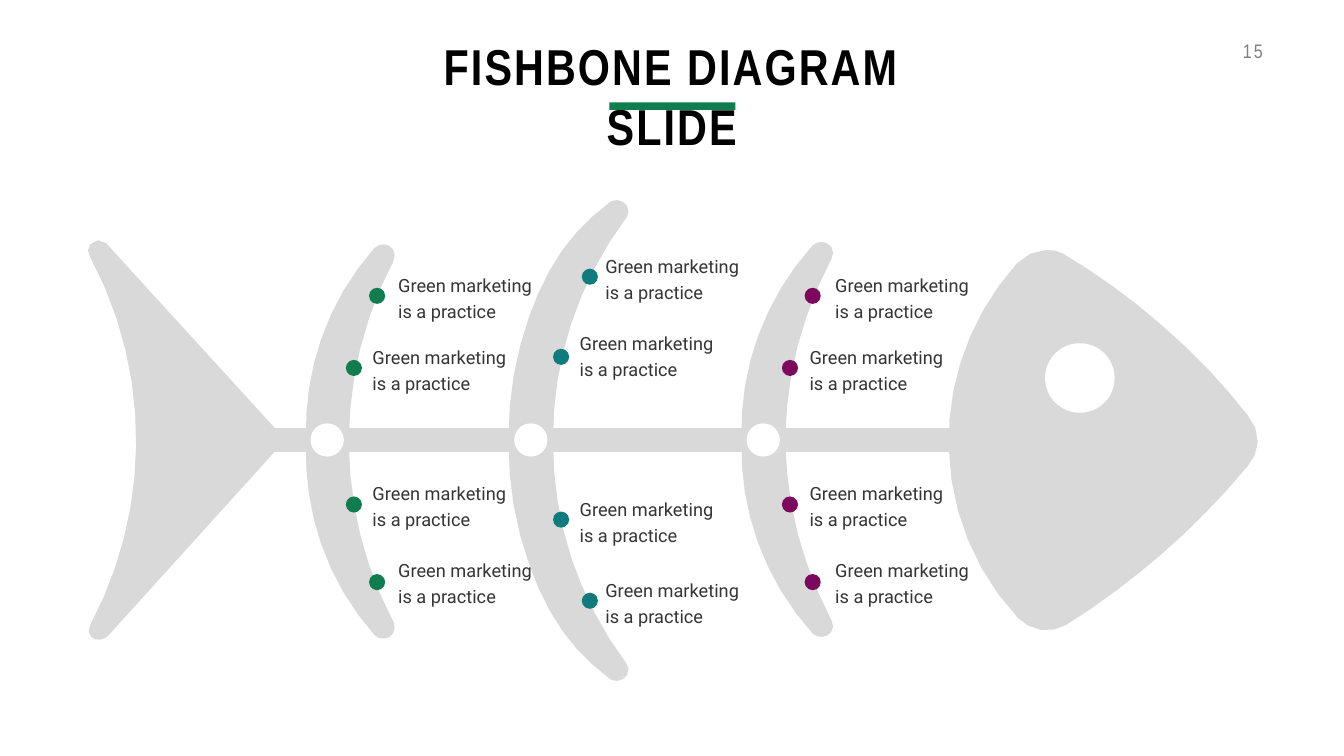
import math

import lxml.etree
import pptx
import pptx.dml.color
import pptx.enum.shapes
import pptx.enum.text
import pptx.oxml.ns
import pptx.util

Inches = pptx.util.Inches
RGBColor = pptx.dml.color.RGBColor
MSO_SHAPE = pptx.enum.shapes.MSO_SHAPE
PP_ALIGN = pptx.enum.text.PP_ALIGN
MSO_ANCHOR = pptx.enum.text.MSO_ANCHOR

BONE = RGBColor(0xD9, 0xD9, 0xD9)
WHITE = RGBColor(0xFF, 0xFF, 0xFF)
BLACK = RGBColor(0x00, 0x00, 0x00)
GRAY = RGBColor(0x80, 0x80, 0x80)
DARK = RGBColor(0x35, 0x35, 0x35)
GREEN = RGBColor(0x0F, 0x7D, 0x4F)
TEAL = RGBColor(0x10, 0x7B, 0x7D)
PURPLE = RGBColor(0x7D, 0x09, 0x5E)

deck = pptx.Presentation()
deck.slide_width = Inches(26.66)
deck.slide_height = Inches(15)
page = deck.slides.add_slide(deck.slide_layouts[5])


def write_text(box, text, size, color, font="Roboto", bold=False, align=PP_ALIGN.LEFT,
               anchor=MSO_ANCHOR.TOP, tracking=0, line_spacing=None):
    frame = box.text_frame
    frame.word_wrap = True
    frame.auto_size = pptx.enum.text.MSO_AUTO_SIZE.NONE
    frame.vertical_anchor = anchor
    para = frame.paragraphs[0]
    para.alignment = align
    if line_spacing:
        para.line_spacing = pptx.util.Pt(line_spacing)
    span = para.add_run()
    span.text = text
    span.font.name = font
    span.font.size = pptx.util.Pt(size)
    span.font.bold = bold
    span.font.color.rgb = color
    if tracking:
        span._r.get_or_add_rPr().set("spc", str(tracking * 100))


def add_filled(color, preset=None, bounds=None, contours=()):
    if preset is not None:
        shape = page.shapes.add_shape(preset, *[Inches(length) for length in bounds])
    else:
        builder = None
        for start, *segments in contours:
            x, y = start
            if builder is None:
                builder = page.shapes.build_freeform(Inches(x), Inches(y), scale=1.0)
            else:
                builder.move_to(Inches(x), Inches(y))
            points = []
            for segment in segments:
                if len(segment) == 2:
                    x, y = segment
                    points.append((Inches(x), Inches(y)))
                    continue
                x1, y1, x2, y2, x3, y3 = segment
                steps = max(2, math.ceil(math.hypot(x3 - x, y3 - y) / 0.65))
                for step in range(1, steps + 1):
                    t = step / steps
                    u = 1 - t
                    weights = (u ** 3, 3 * u * u * t, 3 * u * t * t, t ** 3)
                    points.append((
                        Inches(sum(w * v for w, v in zip(weights, (x, x1, x2, x3)))),
                        Inches(sum(w * v for w, v in zip(weights, (y, y1, y2, y3))))))
                x, y = x3, y3
            builder.add_line_segments(points, close=True)
        shape = builder.convert_to_shape()
    shape.shadow.inherit = False
    shape.fill.solid()
    shape.fill.fore_color.rgb = color
    shape.line.fill.background()


head = [
    (20.75, 4.96), (20.54, 4.96, 20.32, 5.07, 20.17, 5.23),
    (19.27, 6.23, 18.78, 7.54, 18.82, 8.89), (18.85, 10.15, 19.34, 11.35, 20.2, 12.27),
    (20.32, 12.39, 20.48, 12.47, 20.65, 12.5), (20.82, 12.52, 21, 12.49, 21.15, 12.4),
    (21.82, 11.98, 22.46, 11.5, 23.06, 10.98), (23.67, 10.45, 24.23, 9.87, 24.75, 9.25),
    (24.87, 9.12, 24.94, 8.95, 24.95, 8.77), (24.95, 8.57, 24.88, 8.38, 24.75, 8.24),
    (24.24, 7.58, 23.66, 6.98, 23.03, 6.44), (22.43, 5.91, 21.78, 5.45, 21.1, 5.04),
    (21, 4.98, 20.88, 4.95, 20.75, 4.96),
]
tail = [
    (1.79, 5.1), (1.73, 5.02, 1.73, 4.92, 1.79, 4.85), (1.86, 4.75, 2.01, 4.74, 2.1, 4.82),
    (5.44, 8.48), (5.51, 8.55, 5.54, 8.65, 5.53, 8.74), (5.53, 8.81, 5.51, 8.88, 5.47, 8.94),
    (2.15, 12.61), (2.11, 12.65, 2.05, 12.68, 2, 12.69), (1.93, 12.7, 1.86, 12.69, 1.81, 12.64),
    (1.75, 12.57, 1.74, 12.48, 1.79, 12.4), (2.37, 11.31, 2.68, 10.1, 2.7, 8.86),
    (2.72, 7.55, 2.41, 6.26, 1.79, 5.1),
]
add_filled(BONE, contours=[head])
add_filled(WHITE, MSO_SHAPE.OVAL, (20.73, 6.81, 1.38, 1.38))
add_filled(BONE, contours=[tail])

spine = page.shapes.add_connector(pptx.enum.shapes.MSO_CONNECTOR.STRAIGHT,
                                  Inches(4.72), Inches(8.73), Inches(19.11), Inches(8.73))
spine.line.color.rgb = BONE
spine.line.width = pptx.util.Pt(34)
lxml.etree.SubElement(spine._element.spPr, pptx.oxml.ns.qn("a:effectLst"))

ribs = [
    ([(7.62, 4.85), (7.55, 4.84, 7.48, 4.87, 7.43, 4.92), (6.96, 5.45, 6.6, 6.06, 6.37, 6.73),
      (6.15, 7.36, 6.05, 8.04, 6.07, 8.71), (6.92, 8.69), (6.93, 8.09, 7, 7.49, 7.15, 6.9),
      (7.3, 6.3, 7.52, 5.72, 7.81, 5.17), (7.84, 5.09, 7.84, 5.01, 7.79, 4.94),
      (7.75, 4.88, 7.68, 4.85, 7.62, 4.85)], 8.76, 6.16),
    ([(12.25, 3.97), (12.2, 3.97, 12.16, 3.98, 12.11, 4), (11.74, 4.28, 11.41, 4.6, 11.15, 4.97),
      (10.87, 5.37, 10.66, 5.82, 10.5, 6.27), (10.22, 7.06, 10.08, 7.87, 10.09, 8.69),
      (10.97, 8.7), (10.97, 7.93, 11.09, 7.16, 11.33, 6.42),
      (11.58, 5.67, 11.95, 4.95, 12.43, 4.31), (12.48, 4.25, 12.48, 4.16, 12.44, 4.09),
      (12.4, 4.02, 12.33, 3.98, 12.25, 3.97)], 8.74, 10.2),
    ([(16.31, 4.8), (16.24, 4.8, 16.17, 4.82, 16.12, 4.87), (15.64, 5.4, 15.27, 6.02, 15.03, 6.69),
      (14.8, 7.33, 14.69, 8, 14.71, 8.68), (15.58, 8.66), (15.59, 8.06, 15.67, 7.45, 15.82, 6.87),
      (15.98, 6.26, 16.21, 5.68, 16.5, 5.12), (16.54, 5.05, 16.53, 4.97, 16.49, 4.9),
      (16.44, 4.84, 16.38, 4.81, 16.31, 4.8)], 8.72, 14.81),
]
for upper, axis, joint_left in ribs:
    lower = [tuple(2 * axis - value if index % 2 else value for index, value in enumerate(segment))
             for segment in upper]
    add_filled(BONE, contours=[upper, lower])
    add_filled(WHITE, MSO_SHAPE.OVAL, (joint_left, 8.4, 0.66, 0.66))

side_rows = [(5.71, 5.32), (7.14, 6.75), (9.85, 9.46), (11.39, 10.98)]
middle_rows = [(5.33, 4.95), (6.92, 6.48), (10.15, 9.77), (11.76, 11.37)]
causes = [
    (GREEN, 7.32, 6.86, 7.8, side_rows),
    (TEAL, 11.54, 10.97, 11.91, middle_rows),
    (PURPLE, 15.96, 15.51, 16.47, side_rows),
]
for color, outer_dot, inner_dot, outer_label, rows in causes:
    for row, (dot_top, label_top) in enumerate(rows):
        inner = row in (1, 2)
        dot_left = inner_dot if inner else outer_dot
        label_left = outer_label - 0.51 if inner else outer_label
        add_filled(color, MSO_SHAPE.OVAL, (dot_left, dot_top, 0.32, 0.32))
        label = page.shapes.add_textbox(Inches(label_left), Inches(label_top),
                                        Inches(3.14), Inches(1.1))
        write_text(label, "Green marketing is a practice", 26, DARK,
                   anchor=MSO_ANCHOR.MIDDLE, line_spacing=37)

title = page.shapes.title
title.left, title.top = Inches(7.36), Inches(0.64)
title.width, title.height = Inches(11.93), Inches(1.31)
write_text(title, "FISHBONE DIAGRAM SLIDE", 72, BLACK, font="Arial Narrow", bold=True,
           align=PP_ALIGN.CENTER, tracking=3)
add_filled(GREEN, MSO_SHAPE.RECTANGLE, (12.09, 2.03, 2.5, 0.15))

number = page.shapes.add_textbox(Inches(24.31), Inches(0.72), Inches(0.84), Inches(0.57))
write_text(number, "15", 28, GRAY, font="Arial Narrow", align=PP_ALIGN.RIGHT, tracking=3)

deck.save("out.pptx")
